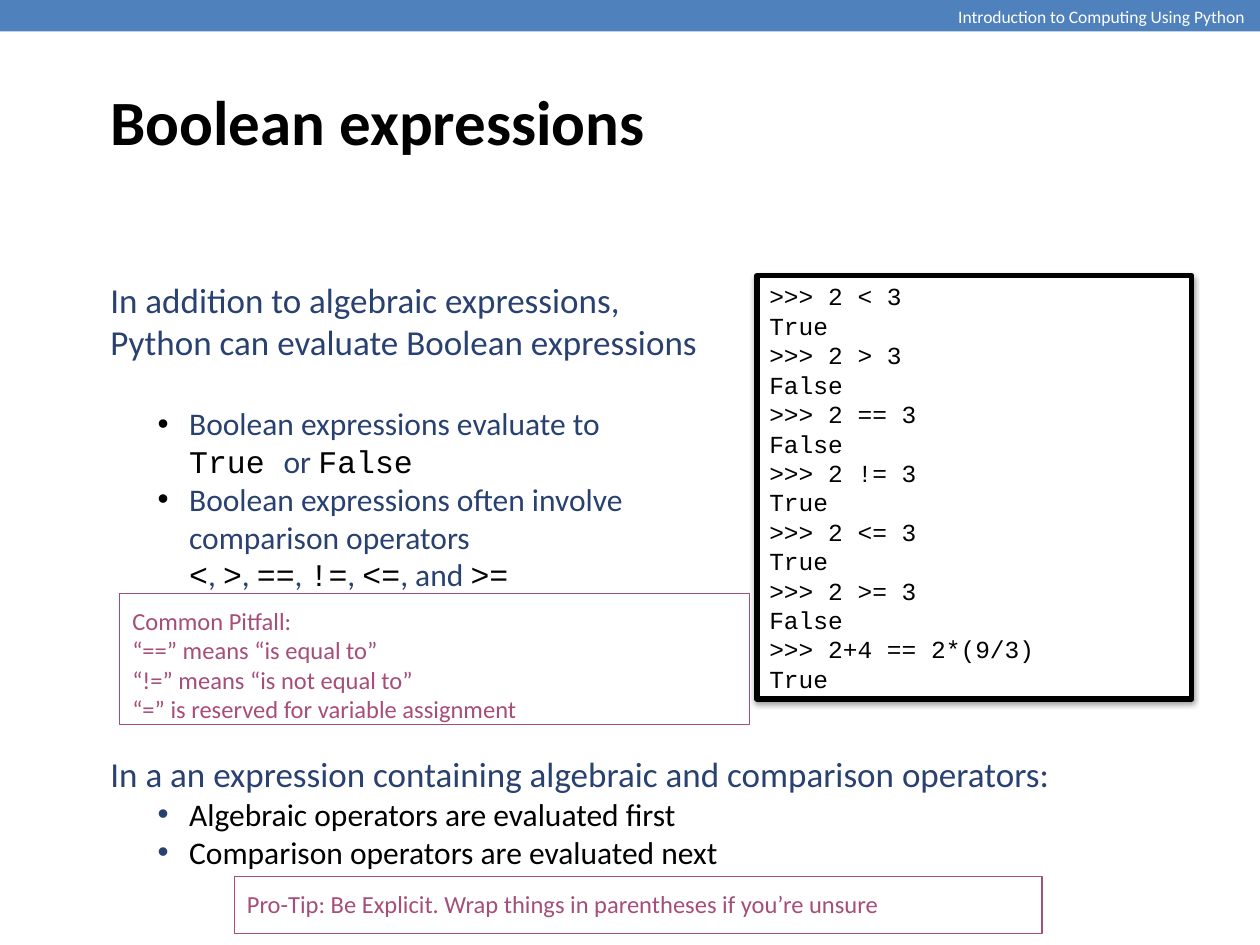
from pptx import Presentation
from pptx.dml.color import RGBColor
from pptx.enum.shapes import MSO_SHAPE
from pptx.enum.text import MSO_ANCHOR, PP_ALIGN
from pptx.oxml import parse_xml
from pptx.oxml.ns import nsdecls, qn
from pptx.util import Pt

NAVY, BLACK, WHITE = "294171", "000000", "FFFFFF"
BLUE, PLUM = "4F81BD", "A64D79"
SANS, MONO = "Calibri", "Courier New"

SESSION = [
    ("2 < 3", "True"), ("2 > 3", "False"), ("2 == 3", "False"),
    ("2 != 3", "True"), ("2 <= 3", "True"), ("2 >= 3", "False"),
    ("2+4 == 2*(9/3)", "True"),
]
PITFALL = ["Common Pitfall:", "“==” means “is equal to”",
           "“!=” means “is not equal to”",
           "“=” is reserved for variable assignment"]


def rgb(color):
    return RGBColor.from_string(color)


def add_text(s, x, y, w, h, anchor=MSO_ANCHOR.MIDDLE):
    tf = s.shapes.add_textbox(Pt(x), Pt(y), Pt(w), Pt(h)).text_frame
    tf.word_wrap = True
    tf.vertical_anchor = anchor
    return tf


def add_box(s, x, y, w, h, fill=None, line=None, width=0.75):
    sp = s.shapes.add_shape(MSO_SHAPE.RECTANGLE, Pt(x), Pt(y), Pt(w), Pt(h))
    sp.shadow.inherit = False
    if fill:
        sp.fill.solid()
        sp.fill.fore_color.rgb = rgb(fill)
    else:
        sp.fill.background()
    if line:
        sp.line.color.rgb = rgb(line)
        sp.line.width = Pt(width)
    else:
        sp.line.fill.background()
    return sp


def add_shadow(sp, blur, dist, percent):
    effects = sp._element.spPr.find(qn("a:effectLst"))
    effects.append(parse_xml(
        f'<a:outerShdw {nsdecls("a")} blurRad="{Pt(blur)}" dist="{Pt(dist)}" '
        f'dir="5400000" rotWithShape="0"><a:srgbClr val="{BLACK}">'
        f'<a:alpha val="{percent * 1000}"/></a:srgbClr></a:outerShdw>'))


def add_run(p, text, size, color=NAVY, font=SANS, bold=False):
    r = p.add_run()
    r.text = text
    r.font.size, r.font.name, r.font.bold = Pt(size), font, bold
    r.font.color.rgb = rgb(color)


def add_par(tf, *runs):
    """Add a paragraph; each run is the argument tuple of add_run."""
    p = tf.paragraphs[0] if not tf.paragraphs[0].runs else tf.add_paragraph()
    p.alignment = PP_ALIGN.LEFT
    for run in runs:
        add_run(p, *run)
    return p


def indent(p, bullet=None):
    """Indent a paragraph; a bullet colour also hangs a bullet before it."""
    pPr = p._p.get_or_add_pPr()
    pPr.set("marL", str(Pt(45)))
    pPr.set("indent", str(Pt(-18 if bullet else 0)))
    if bullet:
        pPr.append(parse_xml(f'<a:buClr {nsdecls("a")}>'
                             f'<a:srgbClr val="{bullet}"/></a:buClr>'))
        pPr.append(parse_xml(f'<a:buFont {nsdecls("a")} typeface="Arial"/>'))
        pPr.append(parse_xml(f'<a:buChar {nsdecls("a")} char="•"/>'))


def add_note(s, x, y, w, h, lines):
    tf = add_box(s, x, y, w, h, line=PLUM).text_frame
    tf.word_wrap = True
    tf.vertical_anchor = MSO_ANCHOR.TOP
    tf.margin_left = tf.margin_right = tf.margin_top = tf.margin_bottom = Pt(7.2)
    for line in lines:
        add_par(tf, (line, 14, PLUM))


def add_session(s, x, y, w, h):
    sp = add_box(s, x, y, w, h, WHITE, BLACK, 3)
    add_shadow(sp, 3.1, 1.6, 38)
    tf = sp.text_frame
    tf.vertical_anchor = MSO_ANCHOR.MIDDLE
    for expression, result in SESSION:
        for line in (f">>> {expression}", result):
            add_par(tf, (line, 14, BLACK, MONO))


def add_intro(s):
    def code(text):
        return text, 18, BLACK, MONO

    tf = add_text(s, 56, 132.5, 355, 233)
    add_par(tf, ("In addition to algebraic expressions,", 20))
    add_par(tf, ("Python can evaluate Boolean expressions", 20))
    p = add_par(tf, ("Boolean expressions evaluate to", 18))
    p.space_before = Pt(24)
    indent(p, BLACK)
    indent(add_par(tf, code("True "), ("or ", 18), code("False")))
    indent(add_par(tf, ("Boolean expressions often involve comparison operators", 18)),
           BLACK)
    runs = []
    for operator in ("<", ">", "==", "!=", "<="):
        runs += [code(operator), (", ", 18)]
    runs[-1] = (", and ", 18)
    indent(add_par(tf, *runs, code(">=")))


def add_precedence(s):
    tf = add_text(s, 56, 414.5, 625, 98.5)
    add_par(tf, ("In a an expression containing algebraic and comparison operators:", 20))
    for line in ("Algebraic operators are evaluated first",
                 "Comparison operators are evaluated next"):
        indent(add_par(tf, (line, 18, BLACK)), NAVY)


def main():
    prs = Presentation()
    prs.slide_width, prs.slide_height = Pt(720), Pt(540)
    s = prs.slides.add_slide(prs.slide_layouts[6])

    # Header bar
    add_box(s, 0, 0, 720, 18, BLUE)
    tf = add_text(s, 540.5, 0, 179.5, 31, MSO_ANCHOR.TOP)
    tf.margin_right = 0
    add_par(tf, ("Introduction to Computing Using Python", 10, WHITE))

    # Title
    tf = add_text(s, 56, 11, 612, 116)
    add_par(tf, ("Boolean expressions", 36, BLACK, SANS, True))

    # Body text and interpreter session
    add_intro(s)
    add_session(s, 432.5, 157.5, 248.5, 242)
    add_precedence(s)

    # Framed notes
    add_note(s, 68.5, 339, 360, 75, PITFALL)
    add_note(s, 134, 501, 461.5, 32.5,
             ["Pro-Tip: Be Explicit. Wrap things in parentheses if you’re unsure"])

    prs.save("out.pptx")


if __name__ == "__main__":
    main()
